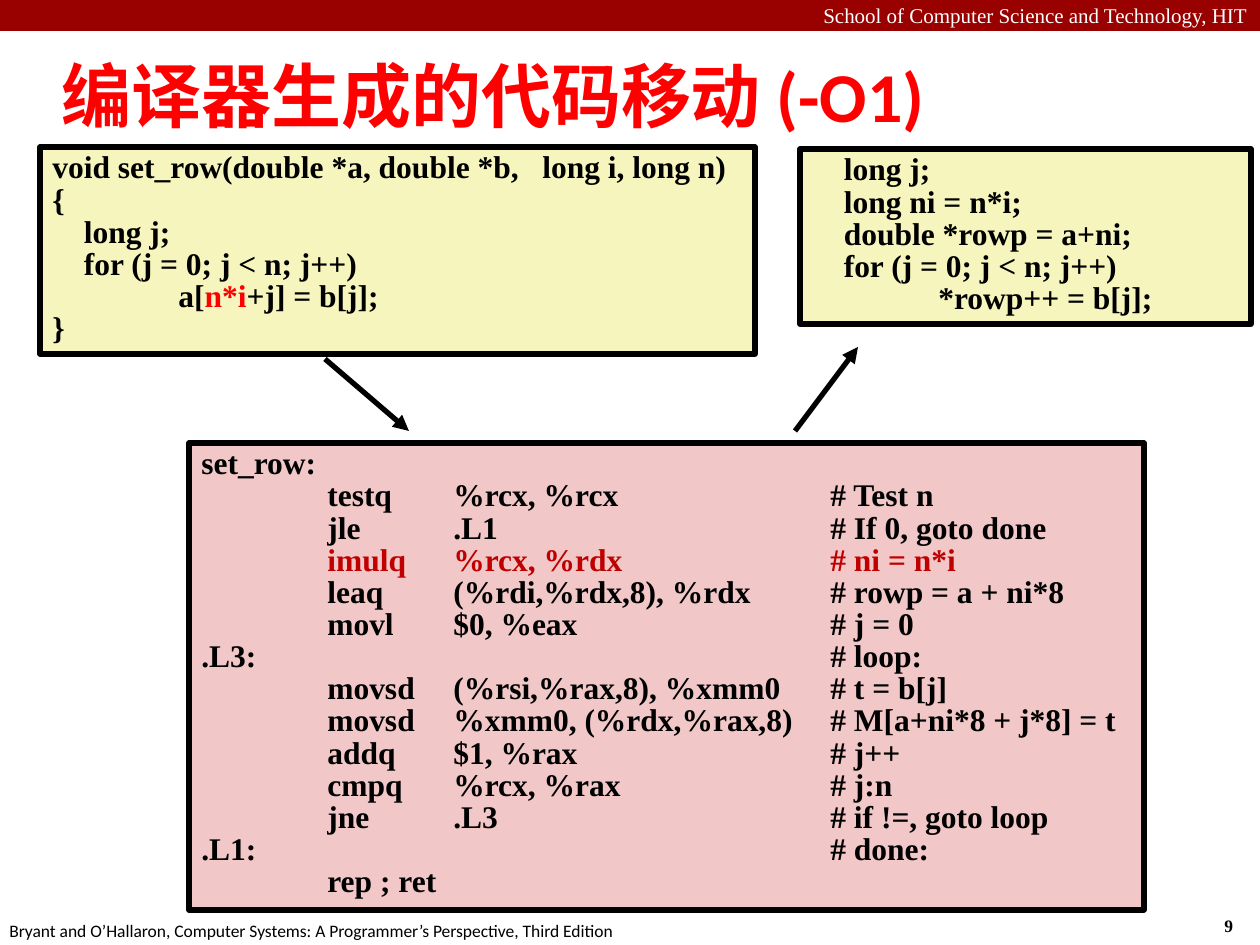
from lxml.etree import SubElement
from pptx import Presentation
from pptx.dml.color import RGBColor
from pptx.enum.shapes import MSO_CONNECTOR, MSO_SHAPE
from pptx.enum.text import MSO_ANCHOR, MSO_AUTO_SIZE, PP_ALIGN
from pptx.oxml.ns import qn
from pptx.util import Emu, Pt

SERIF, SANS = "Times New Roman", "Calibri"
BLACK, RED, CREAM, PINK = "000000", "FF0000", "F6F5BD", "F1C7C7"
TABS = (126, 252, 629)

SOURCE = """void set_row(double *a, double *b,   long i, long n)
{
    long j;
    for (j = 0; j < n; j++)
\ta[n*i+j] = b[j];
}"""

MOVED = """    long j;
    long ni = n*i;
    double *rowp = a+ni;
    for (j = 0; j < n; j++)
\t*rowp++ = b[j];"""

# label, opcode, operands, comment
ASM = [
    ("set_row:",),
    ("", "testq", "%rcx, %rcx", "# Test n"),
    ("", "jle", ".L1", "# If 0, goto done"),
    ("", "imulq", "%rcx, %rdx", "# ni = n*i"),
    ("", "leaq", "(%rdi,%rdx,8), %rdx", "# rowp = a + ni*8"),
    ("", "movl", "$0, %eax", "# j = 0"),
    (".L3:", "", "", "# loop:"),
    ("", "movsd", "(%rsi,%rax,8), %xmm0", "# t = b[j]"),
    ("", "movsd", "%xmm0, (%rdx,%rax,8)", "# M[a+ni*8 + j*8] = t"),
    ("", "addq", "$1, %rax", "# j++"),
    ("", "cmpq", "%rcx, %rax", "# j:n"),
    ("", "jne", ".L3", "# if !=, goto loop"),
    (".L1:", "", "", "# done:"),
    ("", "rep ; ret"),
]


def px(n):
    return Emu(round(n * 914400 / 126))


def color(code):
    return RGBColor.from_string(code)


def style(font, size, name, code, bold=False):
    font.size, font.name, font.bold = Pt(size), name, bold
    font.color.rgb = color(code)


def add_rect(slide, box, fill):
    rect = slide.shapes.add_shape(MSO_SHAPE.RECTANGLE, *map(px, box))
    rect.shadow.inherit = False
    rect.fill.solid()
    rect.fill.fore_color.rgb = color(fill)
    rect.line.fill.background()
    return rect


def add_label(slide, box, text, size, name, code, bold=False,
              align=PP_ALIGN.LEFT, wrap=False):
    frame = slide.shapes.add_textbox(*map(px, box)).text_frame
    frame.word_wrap = wrap
    frame.text = text
    para = frame.paragraphs[0]
    para.alignment = align
    style(para.runs[0].font, size, name, code, bold)


def add_tabs(para):
    stops = SubElement(para._p.get_or_add_pPr(), qn("a:tabLst"))
    for stop in TABS:
        SubElement(stops, qn("a:tab"), pos=str(px(stop)), algn="l")


def add_code(slide, box, fill, lines, hot=None, tint=RED):
    """Framed code, with the part that equals hot set in the tint."""
    rect = add_rect(slide, box, fill)
    rect.line.color.rgb = color(BLACK)
    rect.line.width = Pt(3)
    frame = rect.text_frame
    frame.word_wrap = True
    frame.vertical_anchor = MSO_ANCHOR.TOP
    for i, line in enumerate(lines):
        para = frame.add_paragraph() if i else frame.paragraphs[0]
        para.alignment = PP_ALIGN.LEFT
        para.line_spacing = 0.85
        add_tabs(para)
        for part in filter(None, line.partition(hot) if hot else [line]):
            run = para.add_run()
            run.text = part
            style(run.font, 18, SERIF, tint if part == hot else BLACK, True)


def add_arrow(slide, *ends):
    arrow = slide.shapes.add_connector(MSO_CONNECTOR.STRAIGHT, *map(px, ends))
    arrow.line.color.rgb = color(BLACK)
    arrow.line.width = Pt(3)
    SubElement(arrow.line._get_or_add_ln(), qn("a:tailEnd"), type="triangle")
    SubElement(arrow._element.spPr, qn("a:effectLst"))


def set_title(slide, box, text):
    title = slide.shapes.title
    title.left, title.top, title.width, title.height = map(px, box)
    frame = title.text_frame
    frame.text = text
    frame.auto_size = MSO_AUTO_SIZE.NONE
    frame.vertical_anchor = MSO_ANCHOR.MIDDLE
    para = frame.paragraphs[0]
    para.alignment = PP_ALIGN.LEFT
    style(para.runs[0].font, 40, SANS, RED, True)


def main():
    deck = Presentation()
    deck.slide_width, deck.slide_height = px(1260), px(945)
    slide = deck.slides.add_slide(deck.slide_layouts[5])

    add_rect(slide, (0, 0, 1260, 31), "990000")
    add_label(slide, (0, -4, 1260, 38),
              "School of Computer Science and Technology, HIT",
              12, SERIF, "FFFFFF", align=PP_ALIGN.RIGHT, wrap=True)
    add_label(slide, (1212, 909, 46, 34), "9", 10, SERIF, BLACK, True)
    add_label(slide, (-3, 914, 640, 34),
              "Bryant and O’Hallaron, Computer Systems: "
              "A Programmer’s Perspective, Third Edition", 10, SANS, BLACK)
    set_title(slide, (49, 42, 1113, 105), "编译器生成的代码移动 (-O1)")

    rows = ["\t".join(row) for row in ASM]
    add_code(slide, (189, 443, 955, 467), PINK, rows,
             "\t".join(ASM[3][1:]), "C00000")
    add_arrow(slide, 325, 359, 409, 431)
    add_arrow(slide, 795, 431, 858, 347)
    add_code(slide, (800, 149, 451, 175), CREAM, MOVED.split("\n"))
    add_code(slide, (40, 147, 715, 207), CREAM, SOURCE.split("\n"), "n*i")

    deck.save("out.pptx")


if __name__ == "__main__":
    main()
